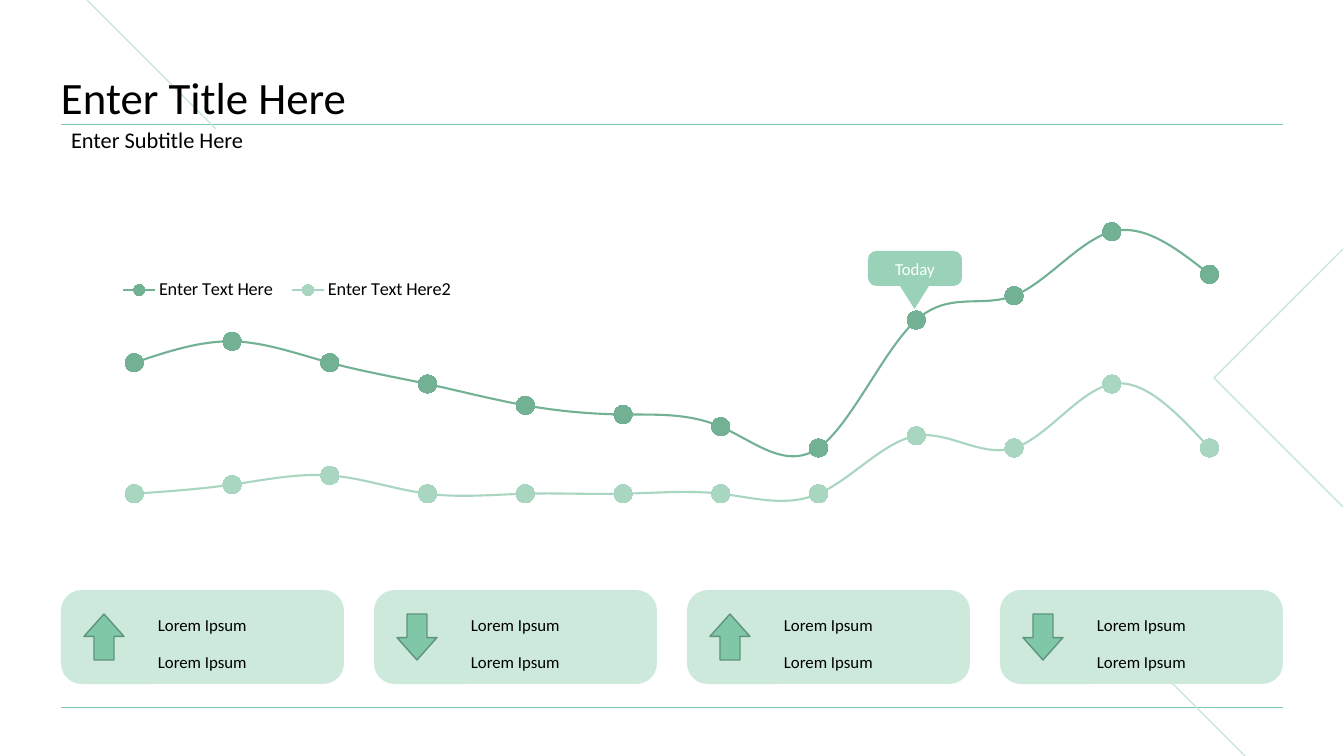
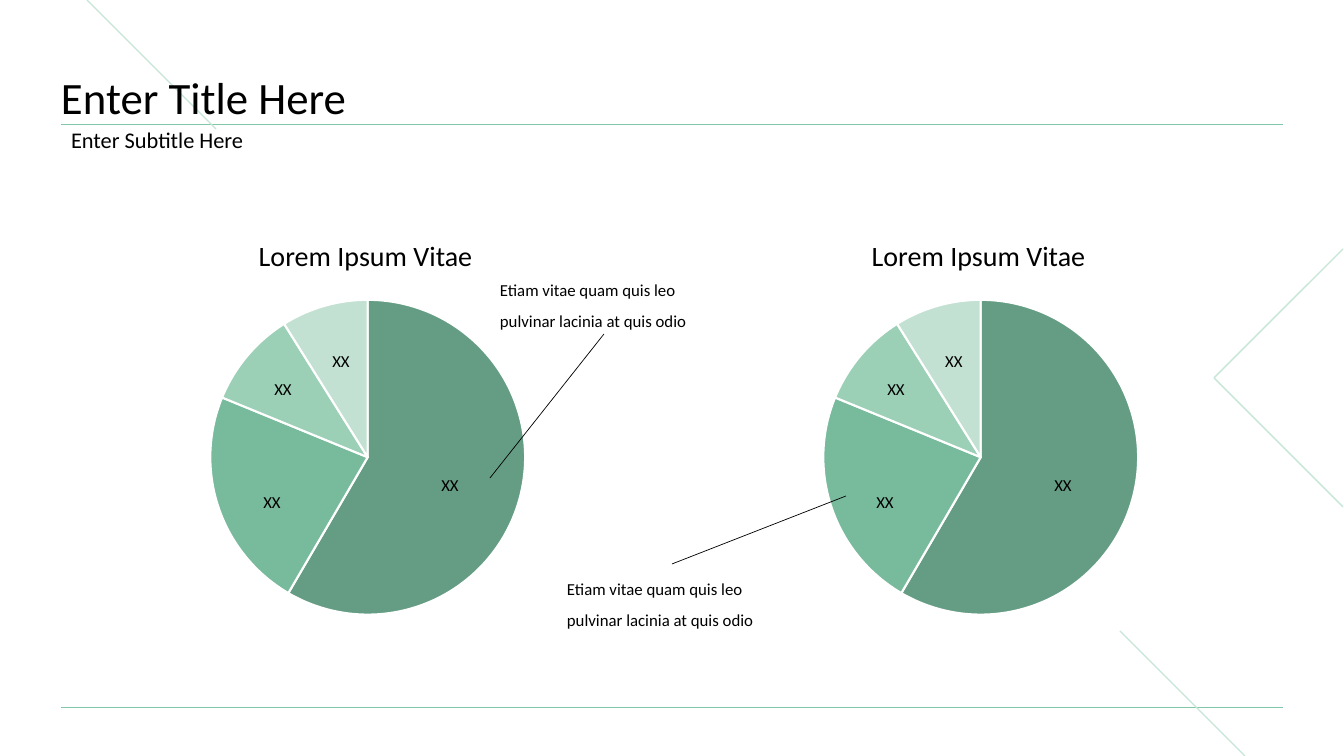
from dataclasses import dataclass

from lxml import etree
from pptx import Presentation
from pptx import util as u
from pptx.chart.data import CategoryChartData
from pptx.dml.color import RGBColor
from pptx.enum import chart as charts, shapes, text
from pptx.oxml.ns import qn

EMU_PER_PX = 914400 / 100.8


@dataclass(frozen=True)
class Theme:
    font: str = "Calibri"
    ink: str = "000000"
    paper: str = "FFFFFF"
    accent: str = "80C7A7"
    accent_edge: str = "5F937C"
    pale_line: str = "C6E6D7"
    card: str = "CCE9DC"
    series: tuple = ("72B194", "A9D6C0")
    slices: tuple = ("659D84", "78BA9C", "9BD0B7", "C3E1D2")
    title: int = 32
    heading: int = 20
    subtitle: int = 16
    legend: int = 13
    label: int = 12


THEME = Theme()
MARGIN, CONTENT_WIDTH = 61, 1222
PIE_PITCH = 613
CARD_PITCH, CARD_TOP = 313, 590


def px(value):
    return u.Emu(round(value * EMU_PER_PX))


def box(*values):
    return [px(value) for value in values]


def color(name):
    return RGBColor.from_string(name)


# Text
def format_text(frame, words, size, ink=THEME.ink, align=text.PP_ALIGN.LEFT, spacing=1.0):
    frame.text = words
    frame.word_wrap = True
    paragraph = frame.paragraphs[0]
    paragraph.alignment = align
    paragraph.line_spacing = spacing
    paragraph.space_before = u.Pt(0)
    font = paragraph.runs[0].font
    font.name, font.size = THEME.font, u.Pt(size)
    font.color.rgb = color(ink)


def add_label(slide, words, bounds, size=THEME.label, align=text.PP_ALIGN.LEFT):
    label = slide.shapes.add_textbox(*box(*bounds))
    format_text(label.text_frame, words, size, align=align, spacing=1.5)


def fill_placeholder(placeholder, words, bounds, size, anchor):
    placeholder.left, placeholder.top, placeholder.width, placeholder.height = box(*bounds)
    frame = placeholder.text_frame
    frame.auto_size = text.MSO_AUTO_SIZE.NONE
    frame.vertical_anchor = anchor
    format_text(frame, words, size, spacing=0.9)
    return frame


# Shapes and lines
def add_shape(parent, kind, bounds, fill, edge=None, adjustments=(), alpha=None):
    shape = parent.shapes.add_shape(kind, *box(*bounds))
    shape.shadow.inherit = False
    shape.fill.solid()
    shape.fill.fore_color.rgb = color(fill)
    if alpha is not None:
        tint = shape.element.spPr.find(qn("a:solidFill"))[0]
        etree.SubElement(tint, qn("a:alpha")).set("val", str(alpha * 1000))
    if edge:
        shape.line.color.rgb = color(edge)
        shape.line.width = u.Pt(1)
    else:
        shape.line.fill.background()
    for index, value in enumerate(adjustments):
        shape.adjustments[index] = value
    return shape


def add_line(slide, start, end, ink, width):
    line = slide.shapes.add_connector(shapes.MSO_CONNECTOR.STRAIGHT, *box(*start, *end))
    line.line.color.rgb = color(ink)
    line.line.width = u.Pt(width)
    etree.SubElement(line.element.spPr, qn("a:effectLst"))
    return line


# Shared frame: lines are drawn once and moved to the layout
def decorate_layout(layout, slide):
    right = MARGIN + CONTENT_WIDTH
    decorations = [add_line(slide, (MARGIN, y), (right, y), THEME.accent, 0.5)
                   for y in (707, 124)]
    decorations += [add_line(slide, start, end, THEME.pale_line, 1)
                    for start, end in (((1120, 631), (1245, 756)), ((87, 0), (216, 129)))]

    builder = slide.shapes.build_freeform(*box(1343, 249))
    builder.add_line_segments([box(1214, 378), box(1343, 507)], close=False)
    chevron = builder.convert_to_shape()
    chevron.shadow.inherit = False
    chevron.fill.background()
    chevron.line.color.rgb = color(THEME.pale_line)
    chevron.line.width = u.Pt(1)

    for number, decoration in enumerate(decorations + [chevron], start=100):
        decoration.element.xpath(".//p:cNvPr")[0].set("id", str(number))
        layout.shapes.element.append(decoration.element)


def add_slide(presentation, layout):
    slide = presentation.slides.add_slide(layout)
    title = fill_placeholder(slide.shapes.title, "Enter Title Here",
                             (MARGIN, 44, CONTENT_WIDTH, 80), THEME.title,
                             text.MSO_ANCHOR.BOTTOM)
    title.margin_left = title.margin_top = title.margin_right = title.margin_bottom = 0
    subtitle = fill_placeholder(slide.placeholders[1], "Enter Subtitle Here",
                                (MARGIN, 124, CONTENT_WIDTH, 34), THEME.subtitle,
                                text.MSO_ANCHOR.MIDDLE)
    properties = subtitle.paragraphs[0]._p.get_or_add_pPr()
    properties.set("marL", "0")
    properties.set("indent", "0")
    etree.SubElement(properties, qn("a:buNone"))
    return slide


# Charts
def set_layout(parent, index, bounds, inner=False):
    for old in parent.findall(qn("c:layout")):
        parent.remove(old)
    layout = etree.Element(qn("c:layout"))
    manual = etree.SubElement(layout, qn("c:manualLayout"))
    settings = [("layoutTarget", "inner")] if inner else []
    settings += [("xMode", "edge"), ("yMode", "edge"), *zip("xywh", bounds)]
    for name, value in settings:
        etree.SubElement(manual, qn("c:" + name)).set("val", str(value))
    parent.insert(index, layout)


def add_chart(slide, kind, bounds, series, plot_bounds):
    data = CategoryChartData()
    data.categories = [str(n + 1) for n in range(len(series[0][1]))]
    for name, values in series:
        data.add_series(name, values)
    chart = slide.shapes.add_chart(kind, *box(*bounds), data).chart
    chart.has_title = False
    chart.has_legend = False
    chart.font.name, chart.font.size = THEME.font, u.Pt(10)
    chart.font.color.rgb = color(THEME.ink)
    chart.plots[0].vary_by_categories = kind == charts.XL_CHART_TYPE.PIE
    set_layout(chart.element.xpath(".//c:plotArea")[0], 0, plot_bounds, inner=True)
    return chart


def add_trend_chart(slide):
    series = [("Enter Text Here", (57, 64, 57, 50, 43, 40, 36, 29, 71, 79, 100, 86)),
              ("Enter Text Here2", (14, 17, 20, 14, 14, 14, 14, 14, 33, 29, 50, 29))]
    chart = add_chart(slide, charts.XL_CHART_TYPE.LINE_MARKERS,
                      (MARGIN, 181, CONTENT_WIDTH, 404), series, (0.02, 0.05, 0.96, 0.83))
    chart.value_axis.minimum_scale, chart.value_axis.maximum_scale = 0, 110
    chart.value_axis.has_major_gridlines = False
    chart.value_axis.visible = chart.category_axis.visible = False
    for line, ink in zip(chart.plots[0].series, THEME.series):
        line.smooth = True
        line.format.line.color.rgb = color(ink)
        line.format.line.width = u.Pt(1.5)
        line.marker.style, line.marker.size = charts.XL_MARKER_STYLE.CIRCLE, 13
        line.marker.format.fill.solid()
        line.marker.format.fill.fore_color.rgb = color(ink)
        line.marker.format.line.color.rgb = color(ink)

    chart.has_legend = True
    legend = chart.legend
    legend.position = charts.XL_LEGEND_POSITION.BOTTOM
    legend.include_in_layout = False
    legend.font.name, legend.font.size = THEME.font, u.Pt(THEME.legend)
    legend.font.color.rgb = color(THEME.ink)
    set_layout(chart.element.xpath(".//c:legend")[0], 1, (0.04, 0.24, 0.29, 0.06))


def add_pie(slide, offset):
    chart = add_chart(slide, charts.XL_CHART_TYPE.PIE, (87 + offset, 286, 556, 346),
                      [("Series 1", (59, 23, 10, 9))], (0.22, 0.04, 0.57, 0.91))
    for index, ink in enumerate(THEME.slices):
        part = chart.plots[0].series[0].points[index].format
        part.fill.solid()
        part.fill.fore_color.rgb = color(ink)
        part.line.color.rgb = color(THEME.paper)
        part.line.width = u.Pt(1.5)
    center = text.PP_ALIGN.CENTER
    add_label(slide, "Lorem Ipsum Vitae", (220 + offset, 217, 291, 55), THEME.heading, center)
    for left, top in ((301, 336), (243, 364), (232, 477), (410, 460)):
        add_label(slide, "XX", (left + offset, top, 80, 37), align=center)


# Slide parts
def add_today_marker(slide):
    group = slide.shapes.add_group_shape()
    bubble = add_shape(group, shapes.MSO_SHAPE.ROUNDED_RECTANGLE, (868, 251, 94, 35),
                       THEME.accent, adjustments=(0.24,), alpha=80)
    bubble.text_frame.vertical_anchor = text.MSO_ANCHOR.MIDDLE
    format_text(bubble.text_frame, "Today", THEME.label, THEME.paper, text.PP_ALIGN.CENTER)
    pointer = add_shape(group, shapes.MSO_SHAPE.ISOSCELES_TRIANGLE, (900, 286, 29, 23),
                        THEME.accent, alpha=80)
    pointer.rotation = 180


def add_card(slide, left, arrow):
    add_shape(slide, shapes.MSO_SHAPE.ROUNDED_RECTANGLE, (left, CARD_TOP, 283, 94),
              THEME.card, adjustments=(0.22,))
    add_shape(slide, arrow, (left + 23, CARD_TOP + 24, 40, 46), THEME.accent,
              THEME.accent_edge, (0.5, 0.56))
    for row in range(2):
        add_label(slide, "Lorem Ipsum", (left + 87, CARD_TOP + 10 + 37 * row, 181, 37))


def add_note(slide, left, top, start, end):
    add_line(slide, start, end, THEME.ink, 0.5)
    add_label(slide, "Etiam vitae quam quis leo pulvinar lacinia at quis odio",
              (left, top, 228, 69))


def main():
    presentation = Presentation()
    presentation.slide_width, presentation.slide_height = box(1344, 756)
    layout = presentation.slide_layouts[1]

    # Trend slide
    slide = add_slide(presentation, layout)
    decorate_layout(layout, slide)
    add_trend_chart(slide)
    add_today_marker(slide)
    arrows = (shapes.MSO_SHAPE.UP_ARROW, shapes.MSO_SHAPE.DOWN_ARROW) * 2
    for index, arrow in enumerate(arrows):
        add_card(slide, MARGIN + CARD_PITCH * index, arrow)

    # Pie slide
    slide = add_slide(presentation, layout)
    for index in range(2):
        add_pie(slide, PIE_PITCH * index)
    add_note(slide, 557, 564, (846, 496), (672, 564))
    add_note(slide, 490, 265, (490, 478), (604, 334))

    presentation.save("out.pptx")


if __name__ == "__main__":
    main()
